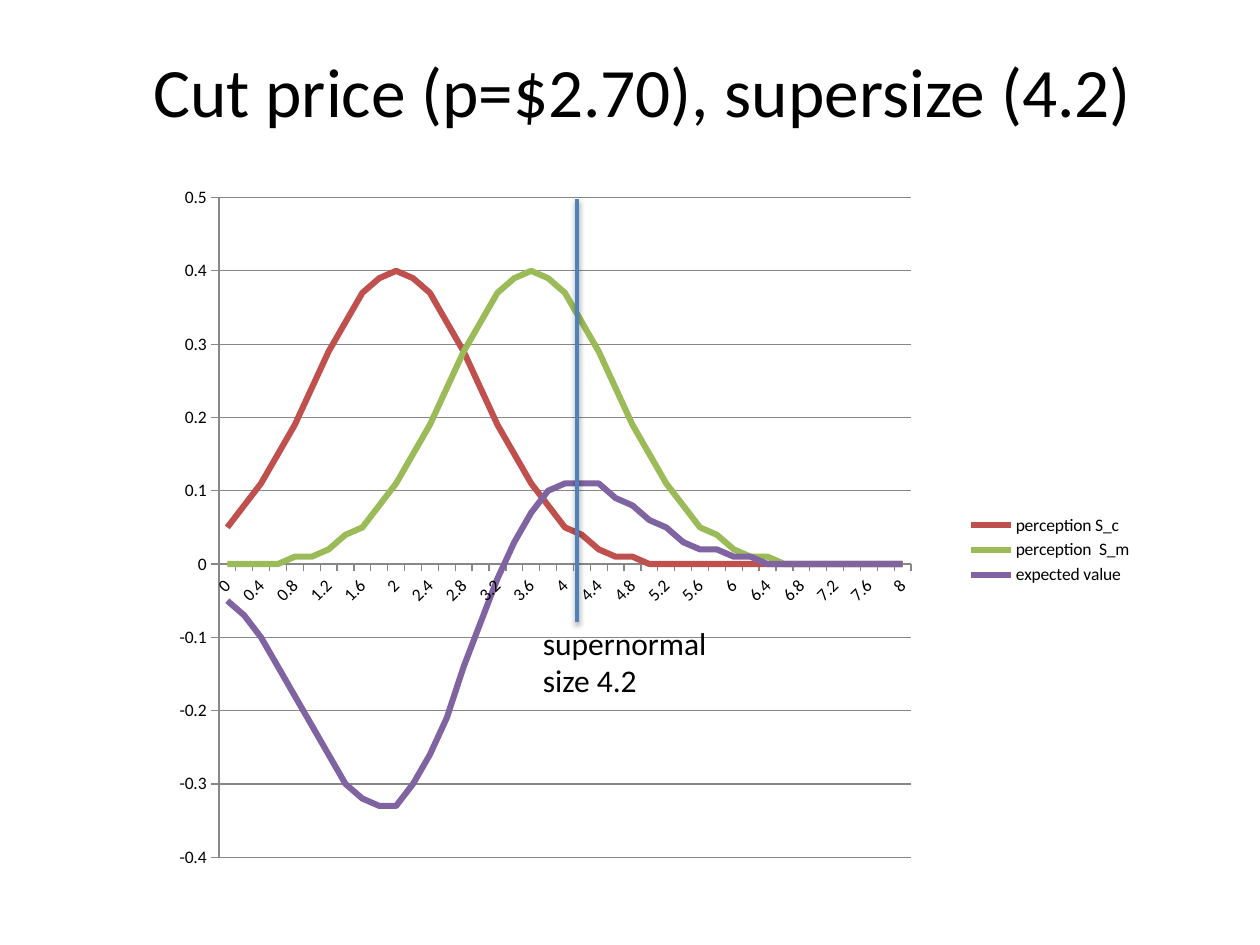
from dataclasses import dataclass
from math import exp, pi, sqrt

from lxml.etree import SubElement
from pptx import Presentation
from pptx.chart.data import CategoryChartData
from pptx.dml.color import RGBColor
from pptx.enum.chart import XL_CHART_TYPE, XL_LEGEND_POSITION, XL_TICK_MARK
from pptx.enum.shapes import MSO_CONNECTOR
from pptx.enum.text import MSO_ANCHOR, PP_ALIGN
from pptx.oxml import parse_xml
from pptx.oxml.ns import nsdecls, qn
from pptx.util import Inches, Pt


@dataclass(frozen=True)
class Theme:
    font: str = "Calibri"
    ink: str = "000000"
    grid: str = "878787"
    mark: str = "4F81BD"
    title: float = 39.6
    note: float = 18
    label: float = 10


@dataclass(frozen=True)
class Box:
    left: float
    top: float
    width: float
    height: float

    def lengths(self) -> list:
        return [Inches(n) for n in (self.left, self.top, self.width, self.height)]


@dataclass(frozen=True)
class Curve:
    name: str
    color: str
    values: list


THEME = Theme()
STEPS = [i / 5 for i in range(41)]
SMALL, LARGE = 2.0, 3.6
LOSS, GAIN = 0.94, 0.44


def bell(x: float, mean: float) -> float:
    """Normal density with unit deviation."""
    return exp(-((x - mean) ** 2) / 2) / sqrt(2 * pi)


def worth(x: float) -> float:
    """Expected value: gain at the large size less loss at the small one."""
    return GAIN * bell(x, LARGE) - LOSS * bell(x, SMALL)


CURVES = [
    Curve("perception S_c", "C0504D", [round(bell(x, SMALL), 2) for x in STEPS]),
    Curve("perception  S_m", "9BBB59", [round(bell(x, LARGE), 2) for x in STEPS]),
    Curve("expected value ", "8064A2", [round(worth(x), 2) for x in STEPS]),
]


def rgb(color: str) -> RGBColor:
    return RGBColor.from_string(color)


def style(font, size: float) -> None:
    font.name, font.size = THEME.font, Pt(size)
    font.color.rgb = rgb(THEME.ink)


def stroke(line, color: str, width: float) -> None:
    line.color.rgb, line.width = rgb(color), Pt(width)


def add_text(slide, box: Box, text: str, size: float,
             align=PP_ALIGN.LEFT, anchor=MSO_ANCHOR.TOP) -> None:
    frame = slide.shapes.add_textbox(*box.lengths()).text_frame
    frame.word_wrap, frame.vertical_anchor = True, anchor
    para = frame.paragraphs[0]
    para.text, para.alignment = text, align
    style(para.font, size)


def set_plot(chart, box: Box) -> None:
    """Fix the inner plot area, in fractions of the chart."""
    area = chart.element.find(".//" + qn("c:plotArea"))
    old = area.find(qn("c:layout"))
    if old is not None:
        area.remove(old)
    layout = parse_xml(f"<c:layout {nsdecls('c')}/>")
    manual = SubElement(layout, qn("c:manualLayout"))
    parts = [("layoutTarget", "inner"), ("xMode", "edge"), ("yMode", "edge"),
             ("x", box.left), ("y", box.top), ("w", box.width), ("h", box.height)]
    for tag, value in parts:
        SubElement(manual, qn("c:" + tag)).set("val", str(value))
    area.insert(0, layout)


def set_axes(chart) -> None:
    cat, val = chart.category_axis, chart.value_axis
    for axis in (cat, val):
        axis.major_tick_mark = XL_TICK_MARK.OUTSIDE
        axis.minor_tick_mark = XL_TICK_MARK.NONE
        stroke(axis.format.line, THEME.grid, 0.75)
        style(axis.tick_labels.font, THEME.label)
    val.minimum_scale, val.maximum_scale, val.major_unit = -0.4, 0.5, 0.1
    val.tick_labels.number_format = "General"
    val.tick_labels.number_format_is_linked = False
    val.has_major_gridlines = True
    stroke(val.major_gridlines.format.line, THEME.grid, 0.75)
    node = chart.element.find(".//" + qn("c:catAx"))
    node.find(".//" + qn("a:bodyPr")).set("rot", "-2700000")
    last = node.find(qn("c:noMultiLvlLbl"))
    last.addprevious(parse_xml(f'<c:tickLblSkip {nsdecls("c")} val="2"/>'))


def add_curves(slide, box: Box, plot: Box) -> None:
    data = CategoryChartData()
    data.categories = [f"{x:g}" for x in STEPS]
    for curve in CURVES:
        data.add_series(curve.name, curve.values)
    chart = slide.shapes.add_chart(XL_CHART_TYPE.LINE, *box.lengths(), data).chart
    style(chart.font, THEME.label)
    chart.has_title = False
    chart.has_legend = True
    chart.legend.position = XL_LEGEND_POSITION.RIGHT
    chart.legend.include_in_layout = False
    style(chart.legend.font, THEME.label)
    chart.plots[0].vary_by_categories = False
    for series, curve in zip(chart.plots[0].series, CURVES):
        series.smooth = False
        stroke(series.format.line, curve.color, 3.5)
    set_axes(chart)
    set_plot(chart, plot)


def add_mark(slide, x: float, low: float, high: float) -> None:
    """Upright line with a soft shadow."""
    line = slide.shapes.add_connector(
        MSO_CONNECTOR.STRAIGHT, Inches(x), Inches(low), Inches(x), Inches(high))
    stroke(line.line, THEME.mark, 2)
    line.element.spPr.append(parse_xml(
        f'<a:effectLst {nsdecls("a")}>'
        f'<a:outerShdw blurRad="{Pt(3.1)}" dist="{Pt(1.6)}" dir="5400000" rotWithShape="0">'
        f'<a:srgbClr val="{THEME.ink}"><a:alpha val="38000"/></a:srgbClr>'
        '</a:outerShdw></a:effectLst>'))


def main() -> None:
    deck = Presentation()
    deck.slide_width, deck.slide_height = Inches(10), Inches(7.5)
    slide = deck.slides.add_slide(deck.slide_layouts[6])
    add_text(slide, Box(0.7, 0.3, 8.8, 0.83), "Cut price (p=$2.70), supersize (4.2)",
             THEME.title, PP_ALIGN.CENTER, MSO_ANCHOR.MIDDLE)
    add_curves(slide, Box(1.01, 1.39, 8.08, 5.95), Box(0.09, 0.03, 0.68, 0.88))
    add_mark(slide, 4.58, 4.94, 1.58)
    add_text(slide, Box(4.21, 4.9, 1.81, 0.71), "supernormal size 4.2", THEME.note)
    deck.save("out.pptx")


if __name__ == "__main__":
    main()
